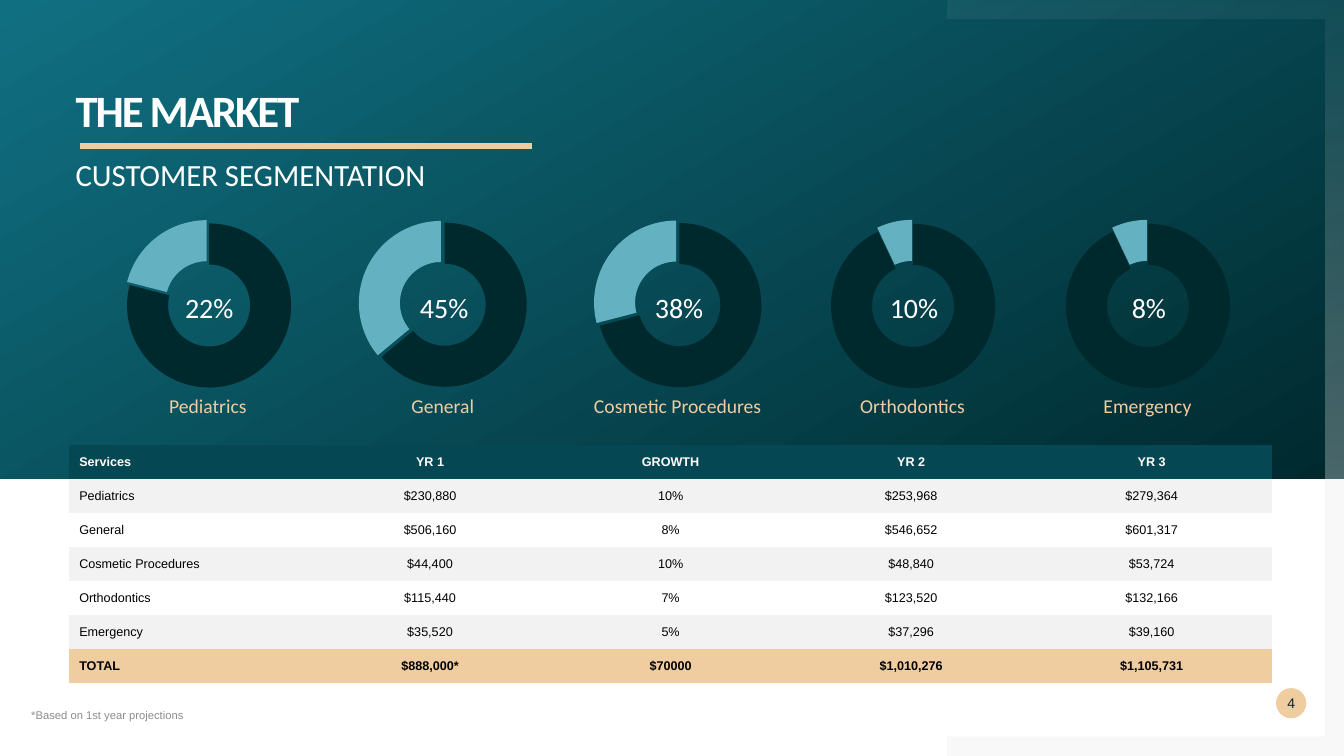
from dataclasses import dataclass

from lxml import etree
from pptx import Presentation
from pptx.chart.data import CategoryChartData
from pptx.dml.color import RGBColor
from pptx.enum.chart import XL_CHART_TYPE
from pptx.enum.shapes import MSO_CONNECTOR, MSO_SHAPE
from pptx.enum.text import MSO_ANCHOR, MSO_AUTO_SIZE, PP_ALIGN
from pptx.oxml.ns import qn
from pptx.util import Pt

RING = XL_CHART_TYPE.DOUGHNUT
LINE = MSO_CONNECTOR.STRAIGHT
RECT, OVAL = MSO_SHAPE.RECTANGLE, MSO_SHAPE.OVAL
TOP, MIDDLE, BOTTOM = MSO_ANCHOR.TOP, MSO_ANCHOR.MIDDLE, MSO_ANCHOR.BOTTOM
LEFT, CENTER = PP_ALIGN.LEFT, PP_ALIGN.CENTER
FIXED = MSO_AUTO_SIZE.NONE
PLAIN = "{2D5ABB26-0587-4C30-8999-92F81FD0307C}"


@dataclass(frozen=True)
class Theme:
    dark: str = "00292E"
    teal: str = "107082"
    light: str = "64B2C1"
    sand: str = "F0CDA1"
    head: str = "054854"
    band: str = "F2F2F2"
    white: str = "FFFFFF"
    black: str = "000000"
    gray: str = "808080"
    note: str = "8C8C8C"
    sans: str = "Calibri"
    plain: str = "Arial"
    title: float = 32
    lead: float = 22
    share: float = 20
    label: float = 14
    small: float = 10
    cell: float = 9
    foot: float = 8


T = Theme()
SHARES = [
    ("Pediatrics", "22%", 21, 70),
    ("General", "45%", 36, 60),
    ("Cosmetic Procedures", "38%", 29, 138),
    ("Orthodontics", "10%", 7, 93),
    ("Emergency", "8%", 7, 77),
]
SALES = [
    ("Services", "YR 1", "GROWTH", "YR 2", "YR 3"),
    ("Pediatrics", "$230,880", "10%", "$253,968", "$279,364"),
    ("General", "$506,160", "8%", "$546,652", "$601,317"),
    ("Cosmetic Procedures", "$44,400", "10%", "$48,840", "$53,724"),
    ("Orthodontics", "$115,440", "7%", "$123,520", "$132,166"),
    ("Emergency", "$35,520", "5%", "$37,296", "$39,160"),
    ("TOTAL", "$888,000*", "$70000", "$1,010,276", "$1,105,731"),
]


def rgb(color):
    return RGBColor.from_string(color)


def points(*sizes):
    return [Pt(size) for size in sizes]


def write(frame, text, size, color, font=T.sans, bold=False, align=LEFT,
          anchor=TOP, inset=(0, 0), wrap=True, space=None, lead=None, after=0):
    frame.auto_size = FIXED
    frame.word_wrap = wrap
    frame.vertical_anchor = anchor
    frame.margin_left = frame.margin_right = Pt(inset[0])
    frame.margin_top = frame.margin_bottom = Pt(inset[1])
    line = frame.paragraphs[0]
    line.alignment = align
    line.line_spacing = lead
    line.space_before, line.space_after = Pt(0), Pt(after)
    run = line.add_run()
    run.text = text
    run.font.size, run.font.name, run.font.bold = Pt(size), font, bold
    run.font.color.rgb = rgb(color)
    if space:
        run._r.get_or_add_rPr().set("spc", str(int(space * 100)))


def paint(shape, color=None):
    shape.shadow.inherit = False
    shape.line.fill.background()
    if color:
        shape.fill.solid()
        shape.fill.fore_color.rgb = rgb(color)
    else:
        shape.fill.background()


def blend(shape, colors, angle):
    shape.fill.gradient()
    shape.fill.gradient_angle = angle
    for stop, color in zip(shape.fill.gradient_stops, colors):
        stop.color.rgb = rgb(color)


def fade(shape, *shares):
    for color, share in zip(shape.element.spPr.iter(qn("a:srgbClr")), shares):
        etree.SubElement(color, qn("a:alpha"), val=str(share * 1000))


def add_frame(slide, spots, color):
    (left, top), *rest = [points(*spot) for spot in spots]
    form = slide.shapes.build_freeform(left, top, scale=1.0)
    form.add_line_segments(rest, close=True)
    shape = form.convert_to_shape()
    paint(shape, color)
    return shape


def add_box(slide, box, text, **format):
    shape = slide.shapes.add_textbox(*points(*box))
    write(shape.text_frame, text, **format)


def add_disc(slide, box, text, fill=None, **format):
    disc = slide.shapes.add_shape(OVAL, *points(*box))
    paint(disc, fill)
    write(disc.text_frame, text, align=CENTER, anchor=MIDDLE, **format)


def add_rule(slide, left, right, top):
    rule = slide.shapes.add_connector(LINE, *points(left, top, right, top))
    rule.line.color.rgb = rgb(T.sand)
    rule.line.width = Pt(4.32)
    etree.SubElement(rule.element.spPr, qn("a:effectLst"))


def add_ring(slide, box, share):
    data = CategoryChartData()
    data.categories = ["1", "2"]
    data.add_series("Series 1", [100 - share, share])
    chart = slide.shapes.add_chart(RING, *points(*box), data).chart
    chart.has_legend = chart.has_title = False
    chart.font.size, chart.font.name = Pt(T.small), T.plain
    chart.font.color.rgb = rgb(T.black)
    series = chart.plots[0].series[0]
    for index, color in enumerate([T.dark, T.light]):
        form = series.points[index].format
        form.fill.solid()
        form.fill.fore_color.rgb = rgb(color)
        form.line.fill.background()
    burst = etree.Element(qn("c:explosion"), val="5")
    series._element.find(qn("c:dPt")).addprevious(burst)
    next(chart._chartSpace.iter(qn("c:holeSize"))).set("val", "60")


def add_shares(slide):
    for index, (name, text, share, width) in enumerate(SHARES):
        mid = 148.5 + 167.8 * index
        add_ring(slide, (mid - 70, 131.8, 140, 170.6), share)
        add_disc(slide, (mid - 29, 189.4, 60, 60), text,
                 size=T.share, color=T.white, wrap=False)
        add_box(slide, (mid - width / 2, 278, width, 24.5), name,
                size=T.label, color=T.sand, align=CENTER,
                inset=(7.2, 3.6), wrap=False)


def add_sales(slide):
    rows, cols = len(SALES), len(SALES[0])
    box = points(49.4, 317.7, 859.2, 170.1)
    table = slide.shapes.add_table(rows, cols, *box).table
    table.horz_banding = False
    table._tbl.tblPr.find(qn("a:tableStyleId")).text = PLAIN
    fills = [T.head] + [T.band, T.white] * 2 + [T.band, T.sand]
    for row, (texts, fill) in enumerate(zip(SALES, fills)):
        table.rows[row].height = Pt(24.3)
        for col, text in enumerate(texts):
            cell = table.cell(row, col)
            cell.fill.solid()
            cell.fill.fore_color.rgb = rgb(fill)
            write(cell.text_frame, text, T.cell,
                  T.black if row else T.white, T.plain,
                  bold=row in (0, rows - 1), align=CENTER if col else LEFT)
            cell.vertical_anchor = MIDDLE
            cell.margin_left = cell.margin_right = Pt(7.2)
            cell.margin_top = cell.margin_bottom = Pt(3.6)


def add_back(slide):
    back = slide.shapes.add_shape(RECT, *points(0, 0, 960, 342))
    paint(back)
    blend(back, [T.dark, T.teal], 120)
    left, inner, right = 676.6, 946.4, 960
    upper = add_frame(slide, [(left, 0), (right, 0), (right, 342),
                              (inner, 342), (inner, 14), (left, 14)], None)
    blend(upper, [T.white, T.white], 270)
    fade(upper, 5, 30)
    lower = add_frame(slide, [(inner, 342), (right, 342), (right, 540),
                              (left, 540), (left, 526), (inner, 526)], T.gray)
    fade(lower, 5)


def place(slide, holder, box, text, **format):
    holder.left, holder.top, holder.width, holder.height = points(*box)
    slide.shapes.element.append(holder.element)
    write(holder.text_frame, text, color=T.white, **format)


def main():
    deck = Presentation()
    deck.slide_width, deck.slide_height = points(960, 540)
    slide = deck.slides.add_slide(deck.slide_layouts[2])
    add_back(slide)
    place(slide, slide.shapes.title, (54, 63.4, 595.4, 28.8), "THE MARKET",
          size=T.title, bold=True, space=-1.5, lead=0.9)
    place(slide, slide.placeholders[1], (54, 110.9, 595.4, 28),
          "CUSTOMER SEGMENTATION", size=T.lead, after=10)
    add_rule(slide, 57, 380, 104.4)
    add_shares(slide)
    add_sales(slide)
    add_box(slide, (22.3, 487.4, 595.4, 28), "*Based on 1st year projections",
            size=T.foot, color=T.note, font=T.plain, anchor=BOTTOM)
    add_disc(slide, (911.5, 491.5, 21.6, 21.6), "4", T.sand,
             size=T.small, color=T.dark, font=T.plain)
    deck.save("out.pptx")


main()
